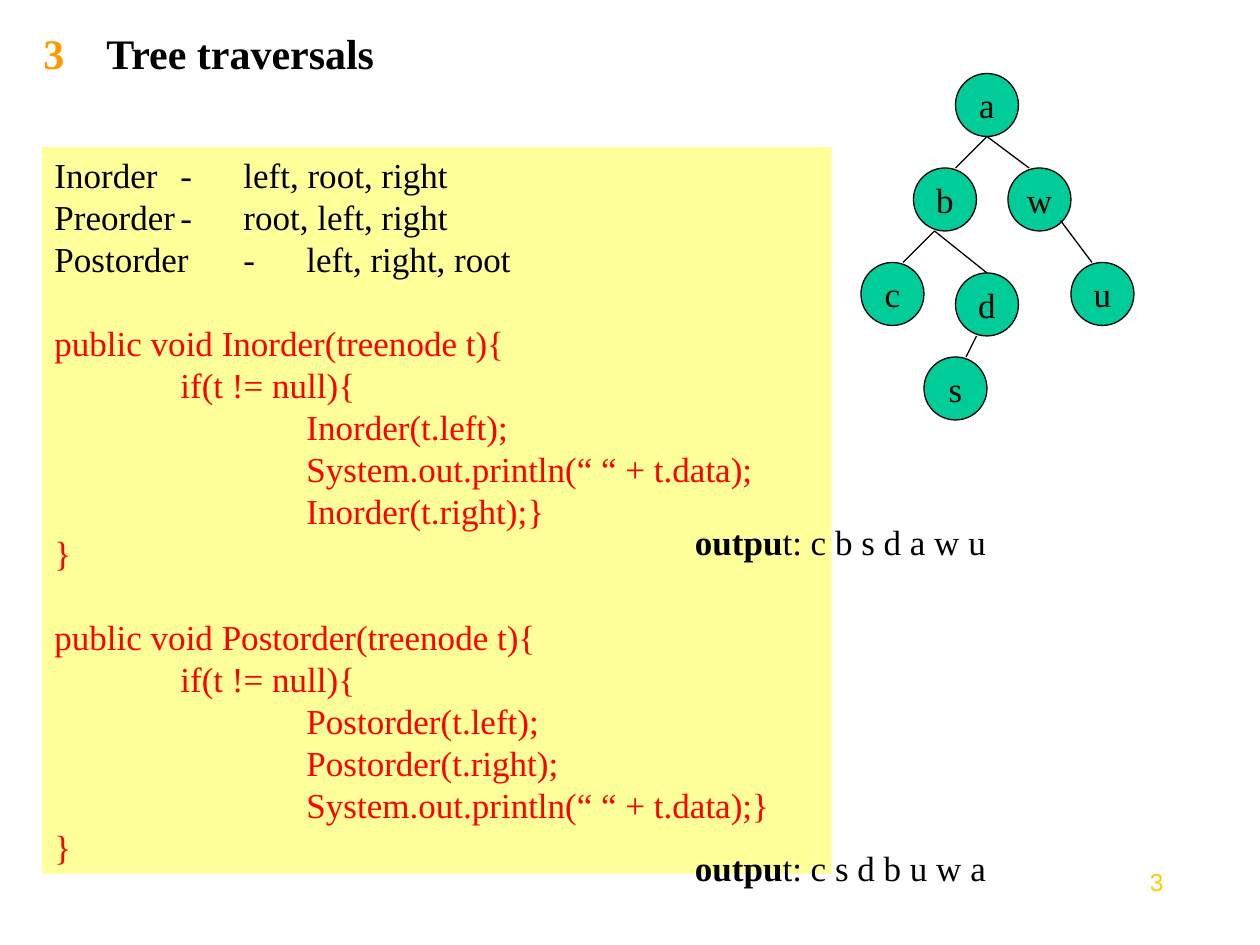
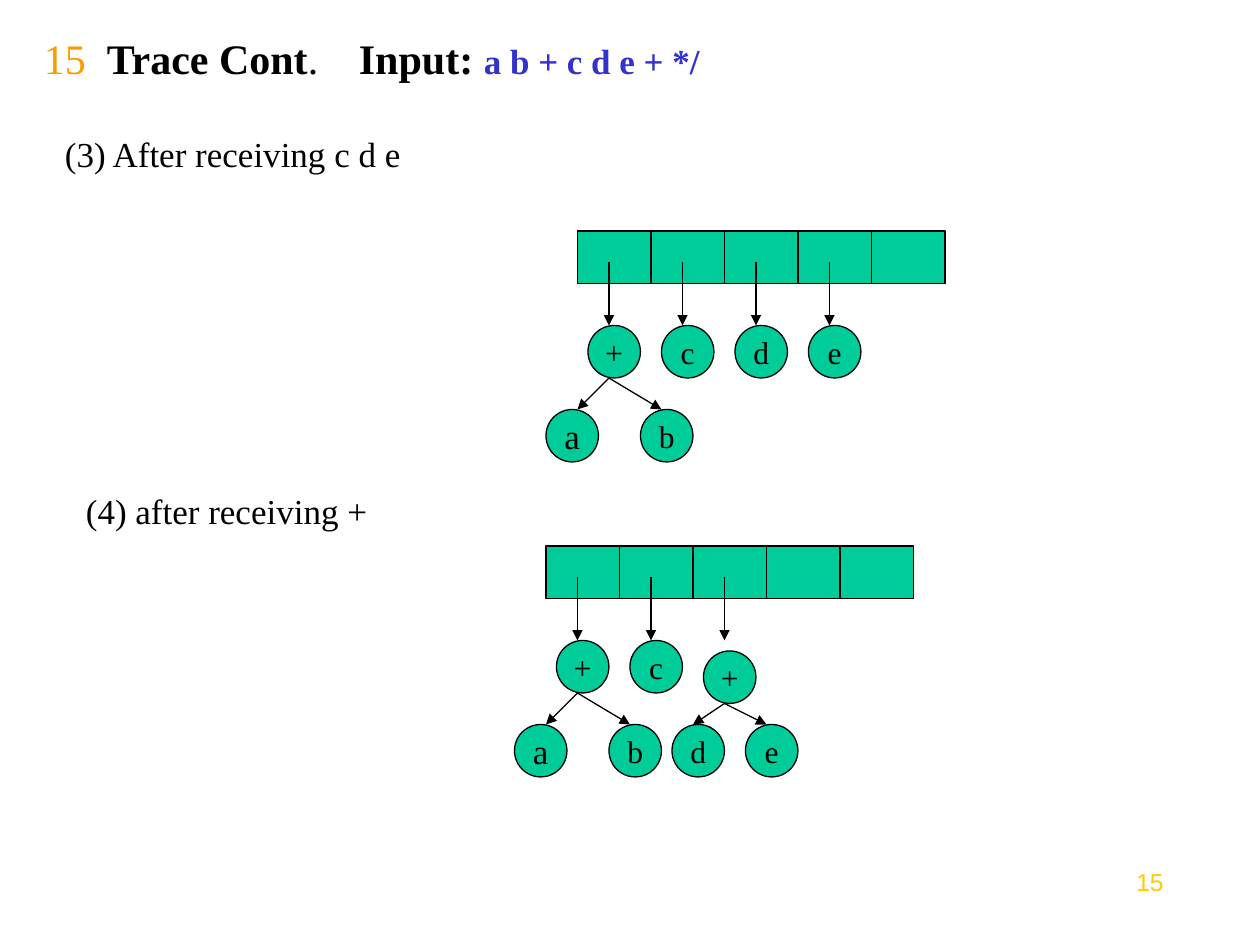
from lxml.etree import SubElement as Sub
from pptx import Presentation
from pptx.dml.color import RGBColor as Rgb
from pptx.enum.shapes import MSO_CONNECTOR as Conn, MSO_SHAPE as Kind
from pptx.enum.text import MSO_ANCHOR as Anchor, PP_ALIGN as Align
from pptx.oxml.ns import qn
from pptx.util import Inches, Pt

# Shared style
COLORS = {
    "ink": "000000", "number": "FF9900", "input": "3333CC", "code": "FF0000",
    "panel": "FFFF99", "node": "00CC99", "page": "FFCC00",
}
SERIF, SANS = "Times New Roman", "Arial"
COLS, ROWS = 120, 90  # grid of the slide
WIDTH, HEIGHT = Inches(10), Inches(7.5)


def col(n):
    return round(WIDTH * n / COLS)


def row(n):
    return round(HEIGHT * n / ROWS)


def frame(x, y, w, h):
    return col(x), row(y), col(w), row(h)


# Text
def write(para, text, size=20, color="ink", bold=False, font=SERIF):
    run = para.add_run()
    run.text = text
    run.font.name, run.font.size, run.font.bold = font, Pt(size), bold
    run.font.color.rgb = Rgb.from_string(COLORS[color])


def indent(para, left=0, tabs=()):
    props = para._p.get_or_add_pPr()
    props.set("marL", str(Inches(left)))
    props.set("indent", "0")
    if tabs:
        stops = Sub(props, qn("a:tabLst"))
        for stop in tabs:
            Sub(stops, qn("a:tab"), pos=str(Inches(stop)), algn="l")


def label(slide, box, *runs, anchor=Anchor.TOP, align=Align.LEFT):
    """Add a text box; each run is a (text, format) pair."""
    body = slide.shapes.add_textbox(*frame(*box)).text_frame
    body.word_wrap = True
    body.vertical_anchor = anchor
    para = body.paragraphs[0]
    para.alignment = align
    for text, style in runs:
        write(para, text, **style)
    return para


def head(slide, box, *runs, left=0, tabs=()):
    indent(label(slide, box, *runs, anchor=Anchor.MIDDLE), left, tabs)


def page(slide, number):
    style = dict(size=14, color="page", font=SANS)
    label(slide, (104, 82, 8, 6.2), (number, style), align=Align.RIGHT)


# Shapes
def block(slide, kind, box, fill="node", line=True):
    shape = slide.shapes.add_shape(kind, *frame(*box))
    shape.shadow.inherit = False
    shape.fill.solid()
    shape.fill.fore_color.rgb = Rgb.from_string(COLORS[fill])
    if line:
        shape.line.color.rgb = Rgb.from_string(COLORS["ink"])
        shape.line.width = Pt(0.75)
    else:
        shape.line.fill.background()
    return shape


def node(slide, text, x, y, across, size=20):
    body = block(slide, Kind.OVAL, (x, y, across, across)).text_frame
    body.word_wrap = False
    body.vertical_anchor = Anchor.MIDDLE
    para = body.paragraphs[0]
    para.alignment = Align.CENTER
    write(para, text, size=size)


def edge(slide, x1, y1, x2, y2, arrow=False):
    link = slide.shapes.add_connector(
        Conn.STRAIGHT, col(x1), row(y1), col(x2), row(y2))
    link.line.color.rgb = Rgb.from_string(COLORS["ink"])
    link.line.width = Pt(0.75)
    if arrow:
        Sub(link.line._get_or_add_ln(), qn("a:tailEnd"), type="triangle")
    Sub(link._element.spPr, qn("a:effectLst"))


def panel(slide, box, orders, methods):
    shape = block(slide, Kind.RECTANGLE, box, fill="panel", line=False)
    body = shape.text_frame
    body.word_wrap = True
    body.vertical_anchor = Anchor.TOP
    lines = [(0, text, "ink", 0) for text in orders]
    for method in methods:
        for i, (depth, text) in enumerate(method):
            lines.append((depth, text, "code", 0 if i else 24))
    for i, (depth, text, color, gap) in enumerate(lines):
        para = body.add_paragraph() if i else body.paragraphs[0]
        para.alignment = Align.LEFT
        para.line_spacing, para.space_before = Pt(24), Pt(gap)
        indent(para, depth, (1.15, 2) if color == "ink" else ())
        write(para, text, color=color)


def stack(slide, x, y, tops, kids, edges):
    """Draw five cells with pointers to trees; places are relative to x, y."""
    for i in range(5):
        block(slide, Kind.RECTANGLE, (x + 7 * i, y, 7, 5))
    for i, (text, drop) in enumerate(tops):
        edge(slide, x + 3 + 7 * i, y + 3, x + 3 + 7 * i, y + 9, arrow=True)
        node(slide, text, x + 1 + 7 * i, y + 9 + drop, 5, size=18)
    for text, dx, size in kids:
        node(slide, text, x + dx, y + 17, 5, size=size)
    for x1, y1, x2 in edges:
        edge(slide, x + x1, y + y1, x + x2, y + 17, arrow=True)


# Slides
def walks(slide):
    page(slide, "3")
    head(slide, (2, 2, 102, 6),
         ("3", dict(size=24, color="number", bold=True)),
         ("\tTree traversals", dict(size=24, bold=True)),
         left=0.08, tabs=[0.5])
    orders = ["Inorder\t-\tleft, root, right",
              "Preorder\t-\troot, left, right",
              "Postorder\t-\tleft, right, root"]
    show = "System.out.println(“ “ + t.data);"
    bodies = {
        "Inorder": ["Inorder(t.left);", show, "Inorder(t.right);}"],
        "Postorder": ["Postorder(t.left);", "Postorder(t.right);", show + "}"],
    }
    methods = [
        [(0, f"public void {name}(treenode t){{"), (1, "if(t != null){"),
         *((2, text) for text in steps), (0, "}")]
        for name, steps in bodies.items()]
    panel(slide, (4, 14, 75.2, 69.2), orders, methods)

    # Sample tree
    for text, x, y in [("a", 91, 7), ("b", 87, 16), ("w", 96, 16),
                       ("c", 82, 25), ("d", 91, 26), ("u", 102, 25),
                       ("s", 88, 34)]:
        node(slide, text, x, y, 6)
    for ends in [(94, 13, 91, 16), (94, 13, 98, 16), (89, 22, 86, 25),
                 (89, 22, 94, 26), (101, 21, 104, 25), (93, 32, 92, 34)]:
        edge(slide, *ends)
    for y, result in [(49, "c b s d a w u"), (80, "c s d b u w a")]:
        label(slide, (65, y, 46, 5.25),
              ("outpu", dict(bold=True)), ("t: " + result, {}))


def trace(slide):
    page(slide, "15")
    head(slide, (3, 3, 102, 5),
         ("15", dict(size=24, color="number")),
         ("\tTrace Cont", dict(size=24, bold=True)),
         (".", dict(size=24)),
         ("\tInput: ", dict(size=24, bold=True)),
         ("a b + c d e + */", dict(color="input", bold=True)),
         tabs=[0.5, 3.09])
    sum_ab = [("a", -3, 20), ("b", 6, 18)]
    links_ab = [(3, 14, 0), (3, 14, 8)]

    label(slide, (5, 12, 100, 5.25), ("(3) After receiving c d e", {}))
    stack(slide, 55, 22, [("+", 0), ("c", 0), ("d", 0), ("e", 0)],
          sum_ab, links_ab)

    label(slide, (7, 46, 77, 5.25), ("(4) after receiving +", {}))
    stack(slide, 52, 52, [("+", 0), ("c", 0), ("+", 1)],
          sum_ab + [("d", 12, 18), ("e", 19, 18)],
          links_ab + [(17, 15, 14), (17, 15, 21)])


def main():
    deck = Presentation()
    deck.slide_width, deck.slide_height = WIDTH, HEIGHT
    for draw in (walks, trace):
        draw(deck.slides.add_slide(deck.slide_layouts[6]))
    deck.save("out.pptx")


if __name__ == "__main__":
    main()
